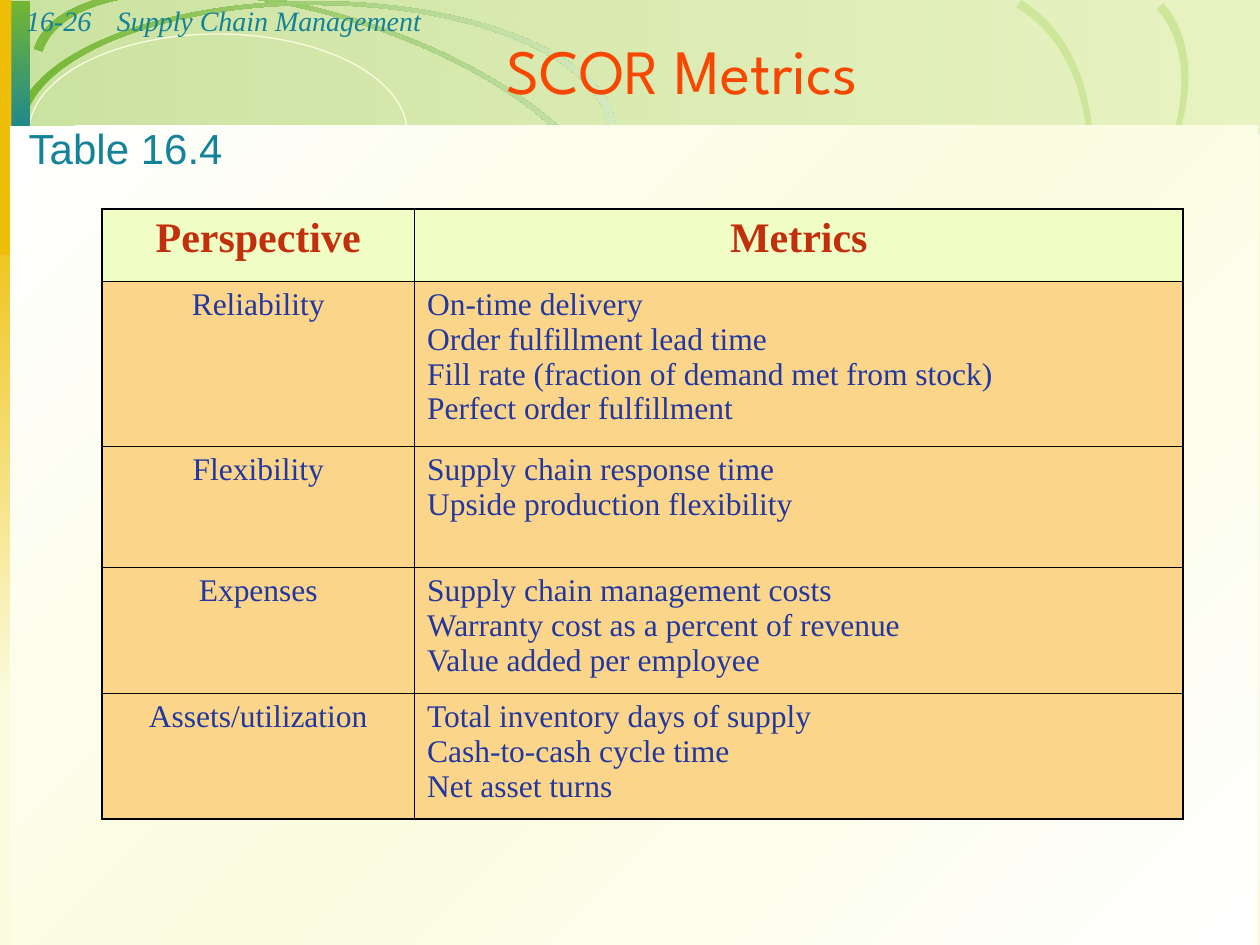
import math

from lxml import etree
from pptx import Presentation
from pptx import util as u
from pptx.dml.color import RGBColor
from pptx.enum import shapes, text
from pptx.oxml import ns

COLORS = {
    "cream": "FBFCDF", "white": "FFFFFF", "black": "000000",
    "green": "74B632", "lime": "BCDD7B", "pale": "D5E9C1", "arc": "CDE69A",
    "teal": "148298", "gold": "EFBE09", "orange": "F84700",
    "head_fill": "F0FDC5", "head_text": "C22F0C",
    "row_fill": "FBD589", "row_text": "2237A0",
}
SERIF = "Times New Roman"
ROUNDNESS = 4 / 3 * (math.sqrt(2) - 1)
METRICS = [
    ("Reliability", ["On-time delivery", "Order fulfillment lead time",
                     "Fill rate (fraction of demand met from stock)",
                     "Perfect order fulfillment"]),
    ("Flexibility", ["Supply chain response time", "Upside production flexibility"]),
    ("Expenses", ["Supply chain management costs",
                  "Warranty cost as a percent of revenue",
                  "Value added per employee"]),
    ("Assets/utilization", ["Total inventory days of supply",
                            "Cash-to-cash cycle time", "Net asset turns"]),
]


def rgb(name):
    return RGBColor.from_string(COLORS[name])


def inches(box):
    return [u.Inches(length) for length in box]


def child(parent, tag, **attributes):
    return etree.SubElement(parent, ns.qn(tag), attributes)


def paint(shape, stops, angle=0):
    shape.shadow.inherit = False
    shape.line.fill.background()
    if isinstance(stops, str):
        shape.fill.solid()
        shape.fill.fore_color.rgb = rgb(stops)
        return
    shape.fill.gradient()
    gradient = shape.element.spPr.find(ns.qn("a:gradFill"))
    for part in list(gradient):
        gradient.remove(part)
    stop_list = child(gradient, "a:gsLst")
    for position, name, opacity in stops:
        stop = child(stop_list, "a:gs", pos=str(position * 1000))
        color = child(stop, "a:srgbClr", val=COLORS[name])
        if opacity < 100:
            child(color, "a:alpha", val=str(opacity * 1000))
    child(gradient, "a:lin", ang=str(angle * 60000), scaled="0")


def add_band(slide, box, stops, angle=0):
    band = slide.shapes.add_shape(shapes.MSO_SHAPE.RECTANGLE, *inches(box))
    paint(band, stops, angle)


def half_ellipse(rx, ry, side):
    k = ROUNDNESS
    return [(-rx, 0), (-rx, side * k * ry), (-k * rx, side * ry), (0, side * ry),
            (k * rx, side * ry), (rx, side * k * ry), (rx, 0)]


def add_arch(slide, box, turn, stops, side=-1):
    left, top, width, height = inches(box)
    builder = slide.shapes.build_freeform(left, top)
    builder.add_line_segments([(left + width, top), (left + width, top + height),
                               (left, top + height)], close=True)
    arch = builder.convert_to_shape()
    outline = arch.element.spPr.find(".//" + ns.qn("a:path"))
    for segment in list(outline):
        outline.remove(segment)

    def trace(tag, points):
        segment = child(outline, tag)
        for x, y in points:
            child(segment, "a:pt", x=str(round(width / 2 + x)), y=str(round(height / 2 + y)))

    outer = half_ellipse(width / 2, height / 2, side)
    inner = half_ellipse(width / 2 - u.Inches(0.07), height / 2 - u.Inches(0.03), side)[::-1]
    trace("a:moveTo", outer[:1])
    trace("a:cubicBezTo", outer[1:4])
    trace("a:cubicBezTo", outer[4:])
    trace("a:lnTo", inner[:1])
    trace("a:cubicBezTo", inner[1:4])
    trace("a:cubicBezTo", inner[4:])
    child(outline, "a:close")
    arch.rotation = turn
    paint(arch, stops)


def add_backdrop(slide, box):
    left, top, width, height = box
    slide.background.fill.solid()
    slide.background.fill.fore_color.rgb = rgb("cream")
    fade = [(0, "green", 100), (100, "pale", 100)]

    add_band(slide, (left + 0.01, top, width - 0.01, 1.06),
             [(0, "green", 36), (100, "lime", 29)])
    add_arch(slide, (left + 0.16, top + 0.11, 4.77, 1.99), 17.5, fade)
    ring = slide.shapes.add_shape(shapes.MSO_SHAPE.OVAL,
                                  *inches((left + 0.23, top + 0.27, 3, 1.56)))
    ring.shadow.inherit = False
    ring.fill.background()
    ring.line.color.rgb = rgb("cream")
    ring.line.width = u.Pt(0.75)
    add_band(slide, (left, top + 1.55, 0.22, 4.01),
             [(0, "gold", 100), (100, "cream", 100)], 90)
    add_arch(slide, (left + 5.07, top + 0.32, 4.77, 2.59), 318.2, "arc", side=1)
    add_arch(slide, (left + 4.5, top + 0.52, 4.77, 3.06), 300.7, "arc", side=1)
    add_arch(slide, (left + 0.12, top + 0.01, 4.77, 2.07), 0, fade)
    add_band(slide, (left + 0.01, top + 0.01, 0.23, 1.14),
             [(0, "green", 100), (100, "teal", 100)], 90)
    add_band(slide, (left, top, 0.09, 2.02), "gold")
    add_band(slide, (left + 0.08, top + 1, width - 0.1, height - 1),
             [(0, "white", 100), (50, "cream", 100), (100, "white", 100)], 45)


def add_run(paragraph, words, font, size, color, bold=False, italic=False):
    run = paragraph.add_run()
    run.text = words
    run.font.name = font
    run.font.size = u.Pt(size)
    run.font.bold = bold
    run.font.italic = italic
    run.font.color.rgb = rgb(color)


def set_indent(paragraph, length):
    properties = paragraph._p.get_or_add_pPr()
    properties.set("marL", str(u.Inches(length)))
    properties.set("indent", "0")


def add_label(slide, box, words, font, size, italic=False, wrap=True, indent=0):
    frame = slide.shapes.add_textbox(*inches(box)).text_frame
    frame.word_wrap = wrap
    paragraph = frame.paragraphs[0]
    set_indent(paragraph, indent)
    add_run(paragraph, words, font, size, "teal", italic=italic)


def place_title(slide, box, words):
    title = slide.shapes.title
    title.element.getparent().append(title.element)
    title.left, title.top, title.width, title.height = inches(box)
    frame = title.text_frame
    frame.auto_size = text.MSO_AUTO_SIZE.NONE
    frame.vertical_anchor = text.MSO_ANCHOR.BOTTOM
    paragraph = frame.paragraphs[0]
    paragraph.alignment = text.PP_ALIGN.CENTER
    set_indent(paragraph, 1)
    add_run(paragraph, words, "League Spartan", 36, "orange")


def fill_cell(cell, lines, outer_sides, heading, centered):
    properties = cell._tc.get_or_add_tcPr()
    for side in "LRTB":
        weight = u.Pt(1.08 if side in outer_sides else 0.45)
        border = child(properties, f"a:ln{side}", w=str(weight))
        child(child(border, "a:solidFill"), "a:srgbClr", val=COLORS["black"])
    cell.fill.solid()
    cell.fill.fore_color.rgb = rgb("head_fill" if heading else "row_fill")
    frame = cell.text_frame
    for index, line in enumerate(lines):
        paragraph = frame.add_paragraph() if index else frame.paragraphs[0]
        paragraph.alignment = text.PP_ALIGN.CENTER if centered else text.PP_ALIGN.LEFT
        if heading:
            add_run(paragraph, line, SERIF, 24, "head_text", bold=True)
        else:
            add_run(paragraph, line, SERIF, 18, "row_text")


def add_metrics_table(slide, box):
    rows = [("Perspective", ["Metrics"]), *METRICS]
    table = slide.shapes.add_table(len(rows), 2, *inches(box)).table
    table.first_row = table.horz_banding = False
    for column, width in zip(table.columns, (2.48, 6.1)):
        column.width = u.Inches(width)
    for row, height in zip(table.rows, (0.57, 1.31, 0.96, 1, 1)):
        row.height = u.Inches(height)
    for index, (perspective, metrics) in enumerate(rows):
        ends = ("T" if index == 0 else "") + ("B" if index == len(rows) - 1 else "")
        heading = index == 0
        fill_cell(table.cell(index, 0), [perspective], ends + "L", heading, True)
        fill_cell(table.cell(index, 1), metrics, ends + "R", heading, heading)


def main():
    deck = Presentation()
    deck.slide_width, deck.slide_height = u.Inches(10), u.Inches(7.5)
    slide = deck.slides.add_slide(deck.slide_layouts[5])
    add_backdrop(slide, (0, 0, 10, 7.5))
    add_label(slide, (0, -0.02, 1.23, 0.37), "16-26", SERIF, 16, italic=True, indent=0.11)
    add_label(slide, (0.83, -0.02, 8.5, 0.37), "Supply Chain Management", SERIF, 16,
              italic=True)
    place_title(slide, (0, 0.21, 9.83, 0.69), "SCOR Metrics")
    add_metrics_table(slide, (0.81, 1.66, 8.58, 4.84))
    add_label(slide, (0.13, 0.92, 1.77, 0.5), "Table 16.4", "Arial", 24, wrap=False)
    deck.save("out.pptx")


if __name__ == "__main__":
    main()
